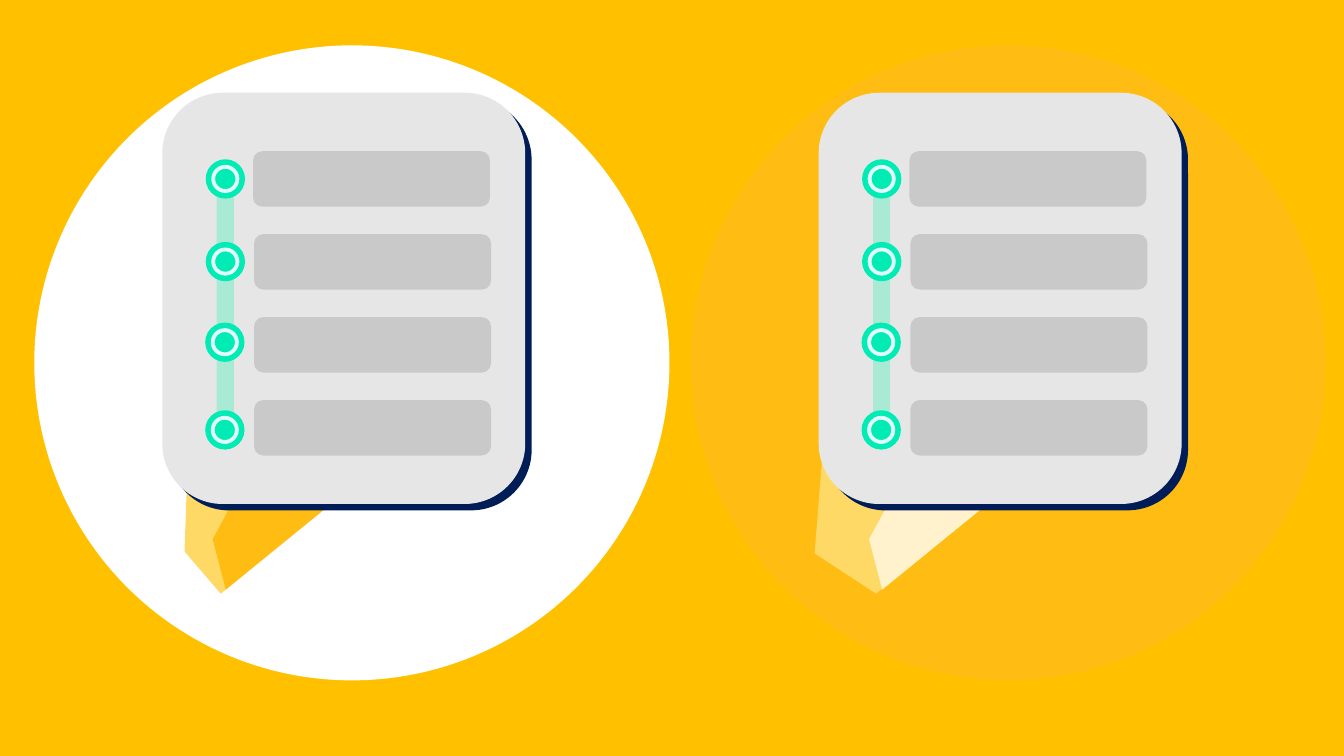
"""Draw two speech-bubble checklist icons side by side on a yellow slide."""
from lxml.etree import SubElement
from pptx import Presentation
from pptx.dml.color import RGBColor
from pptx.enum.shapes import MSO_SHAPE as Preset
from pptx.oxml.ns import qn
from pptx.util import Inches, Pt

PANEL_STEP = 6.51
DISC_SIZE = 6.3
ROW_TOP, ROW_STEP = 1.5, 0.823
NODE_SIZE, RING_SIZE = 0.39, 0.24
NODES = [(2.235, 1.775), (2.235, 2.595), (2.23, 3.395), (2.23, 4.265)]
FRONT_FOLD = [(2.24, 5.85), (2.11, 5.35), (2.88, 3.92), (4.61, 3.92)]
NARROW_FOLD = [(5.02, 3.52), (2.19, 5.89), (1.83, 5.47), (1.96, 1.8)]
WIDE_FOLD = [(5.01, 3.52), (2.18, 5.89), (1.57, 5.49), (1.86, 1.83)]


def paint(fill, color):
    """Give a fill one solid colour from a hex string."""
    fill.solid()
    fill.fore_color.rgb = RGBColor.from_string(color)


def finish(shape, color):
    """Fill a shape and remove its outline and shadow."""
    shape.shadow.inherit = False
    paint(shape.fill, color)
    shape.line.fill.background()
    return shape


def add_preset(group, preset, left, top, width, height, color):
    """Add a filled preset shape to an icon."""
    bounds = [Inches(length) for length in (left, top, width, height)]
    return finish(group.shapes.add_shape(preset, *bounds), color)


def add_dot(group, center, size, color):
    """Add a circle around a centre point."""
    across, down = center
    return add_preset(group, Preset.OVAL, across - size / 2, down - size / 2,
                      size, size, color)


def add_fold(group, corners, shift, color):
    """Add one facet of the bubble's folded tail."""
    points = [(Inches(across + shift), Inches(down)) for across, down in corners]
    builder = group.shapes.build_freeform(*points[0], scale=1.0)
    builder.add_line_segments(points[1:], close=True)
    finish(builder.convert_to_shape(), color)


def add_hard_shadow(shape, color):
    """Cast a sharp shadow towards the lower right."""
    effects = shape._element.spPr.find(qn("a:effectLst"))
    shadow = SubElement(effects, qn("a:outerShdw"), blurRad="0",
                        dist=str(Inches(0.09)), dir="2700000",
                        algn="tl", rotWithShape="0")
    SubElement(shadow, qn("a:srgbClr"), val=color)


def add_node(group, center):
    """Add a timeline node with a pale ring."""
    add_dot(group, center, NODE_SIZE, "01EBB5")
    ring = add_dot(group, center, RING_SIZE, "01EBB5")
    paint(ring.line.fill, "E1FFFC")
    ring.line.width = Pt(2.75)


def add_icon(page, column, disc_color, back_fold, front_color):
    """Add a disc with a checklist bubble in one column."""
    shift = column * PANEL_STEP
    group = page.shapes.add_group_shape()
    add_preset(group, Preset.OVAL, 0.34 + shift, 0.45, DISC_SIZE, DISC_SIZE, disc_color)
    add_fold(group, back_fold, shift, "FFD966")
    add_fold(group, FRONT_FOLD, shift, front_color)
    card = add_preset(group, Preset.ROUNDED_RECTANGLE, 1.61 + shift, 0.92,
                      3.6, 4.08, "E7E6E6")
    add_hard_shadow(card, "001D57")
    add_preset(group, Preset.RECTANGLE, 2.15 + shift, 1.86, 0.17, 2.53, "A9EAD4")
    for across, down in NODES:
        add_node(group, (across + shift, down))
    for row in range(len(NODES)):
        left = 2.52 if row else 2.51
        add_preset(group, Preset.ROUNDED_RECTANGLE, left + shift,
                   ROW_TOP + row * ROW_STEP, 2.35, 0.55, "C9C9C9")


def main():
    """Build and save the slide."""
    deck = Presentation()
    deck.slide_width, deck.slide_height = Inches(13.33), Inches(7.5)
    page = deck.slides.add_slide(deck.slide_layouts[6])
    paint(page.background.fill, "FFC000")
    add_icon(page, 0, "FFFFFF", NARROW_FOLD, "FFBC13")
    add_icon(page, 1, "FFBC13", WIDE_FOLD, "FFF2CC")
    deck.save("out.pptx")


if __name__ == "__main__":
    main()
